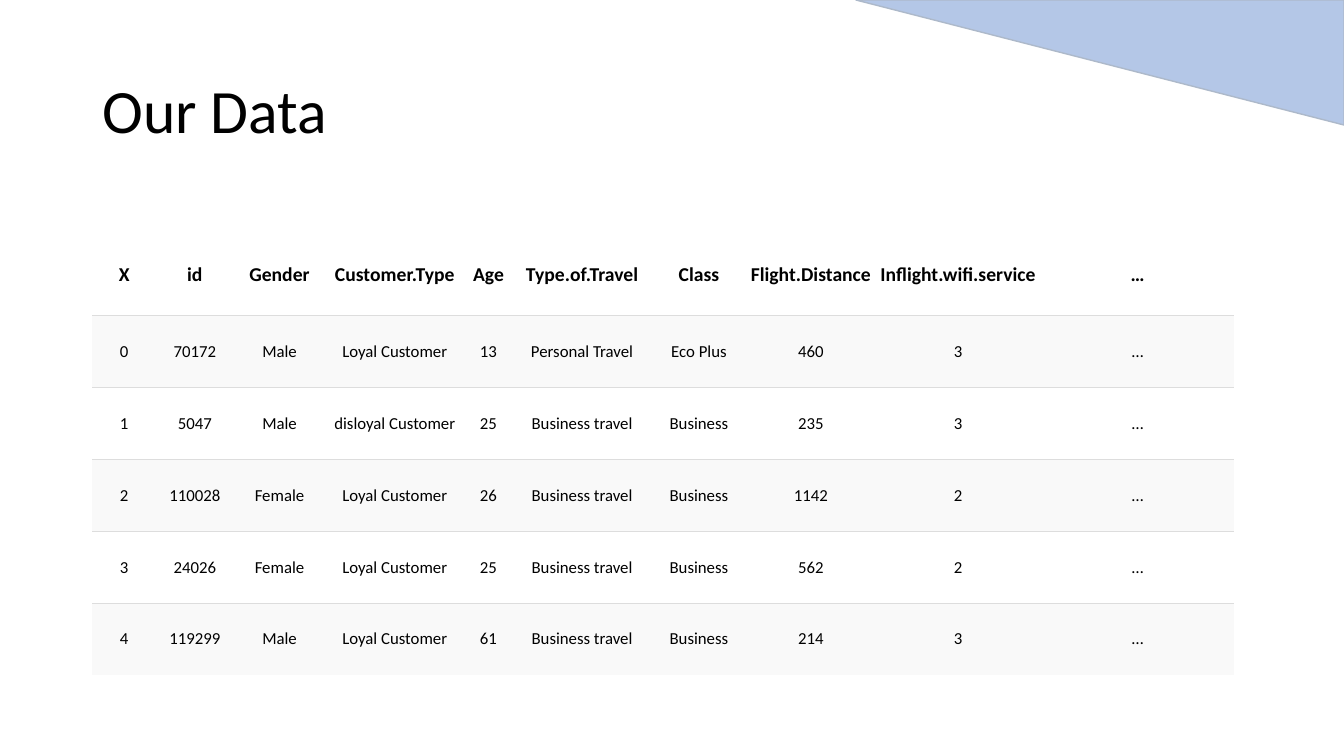
from dataclasses import dataclass

from lxml import etree
from pptx import Presentation
from pptx import util as u
from pptx.dml.color import RGBColor
from pptx.enum import shapes, text
from pptx.oxml import ns


@dataclass(frozen=True)
class Theme:
    font: str = "Calibri"
    ink: str = "000000"
    plain: str = "FFFFFF"
    band: str = "F9F9F9"
    rule: str = "DDDDDD"
    corner: str = "B4C7E7"
    corner_edge: str = "ADB9CA"
    title_size: float = 44
    header_size: float = 14
    body_size: float = 12
    rule_width: float = 0.75


@dataclass(frozen=True)
class Column:
    header: str
    width: float
    values: tuple[str, ...]


THEME = Theme()
LEFT = 2.33
HEADER_HEIGHT, ROW_HEIGHT = 2.07, 1.81
CELL_MARGIN = 0.05
COLUMNS = (
    Column("X", 1.6, ("0", "1", "2", "3", "4")),
    Column("id", 1.96, ("70172", "5047", "110028", "24026", "119299")),
    Column("Gender", 2.31, ("Male", "Male", "Female", "Female", "Male")),
    Column("Customer.Type", 3.5, ("Loyal Customer", "disloyal Customer") + ("Loyal Customer",) * 3),
    Column("Age", 1.22, ("13", "25", "26", "25", "61")),
    Column("Type.of.Travel", 3.5, ("Personal Travel",) + ("Business travel",) * 4),
    Column("Class", 2.39, ("Eco Plus",) + ("Business",) * 4),
    Column("Flight.Distance", 3.25, ("460", "235", "1142", "562", "214")),
    Column("Inflight.wifi.service", 4.17, ("3", "3", "2", "2", "3")),
    Column("…", 4.88, ("…",) * 5),
)


def write_text(frame, content: str, *, size: float, bold: bool = False,
               align=text.PP_ALIGN.LEFT, line_spacing: float = 1.0) -> None:
    paragraph = frame.paragraphs[0]
    paragraph.alignment = align
    paragraph.line_spacing = line_spacing
    run = paragraph.add_run()
    run.text = content
    run.font.name = THEME.font
    run.font.size = u.Pt(size)
    run.font.bold = bold
    run.font.color.rgb = RGBColor.from_string(THEME.ink)


def set_borders(cell, *, top: bool, bottom: bool) -> None:
    """Rule the chosen horizontal edges and clear the others; call before filling."""
    properties = cell._tc.get_or_add_tcPr()
    edges = {"a:lnL": False, "a:lnR": False, "a:lnT": top, "a:lnB": bottom}
    for tag, ruled in edges.items():
        line = etree.SubElement(properties, ns.qn(tag), w=str(u.Pt(THEME.rule_width)))
        if ruled:
            fill = etree.SubElement(line, ns.qn("a:solidFill"))
            etree.SubElement(fill, ns.qn("a:srgbClr"), val=THEME.rule)
        else:
            etree.SubElement(line, ns.qn("a:noFill"))


def add_title(slide, content: str) -> None:
    title = slide.shapes.add_textbox(u.Cm(LEFT), u.Cm(1.01), u.Cm(29.21), u.Cm(3.68))
    frame = title.text_frame
    frame.word_wrap = True
    frame.vertical_anchor = text.MSO_ANCHOR.MIDDLE
    write_text(frame, content, size=THEME.title_size, line_spacing=0.9)


def add_data_table(slide, columns: tuple[Column, ...]) -> None:
    row_count = len(columns[0].values) + 1
    width = sum(column.width for column in columns)
    height = HEADER_HEIGHT + ROW_HEIGHT * (row_count - 1)
    table = slide.shapes.add_table(row_count, len(columns), u.Cm(LEFT), u.Cm(5.89),
                                   u.Cm(width), u.Cm(height)).table
    table.first_row = table.horz_banding = False
    for index, row in enumerate(table.rows):
        row.height = u.Cm(ROW_HEIGHT if index else HEADER_HEIGHT)
    for column_index, column in enumerate(columns):
        table.columns[column_index].width = u.Cm(column.width)
        for row_index, content in enumerate((column.header, *column.values)):
            cell = table.cell(row_index, column_index)
            is_header = row_index == 0
            set_borders(cell, top=not is_header, bottom=row_index < row_count - 1)
            cell.fill.solid()
            cell.fill.fore_color.rgb = RGBColor.from_string(
                THEME.band if row_index % 2 else THEME.plain)
            cell.vertical_anchor = text.MSO_ANCHOR.MIDDLE
            cell.margin_left = cell.margin_right = u.Cm(CELL_MARGIN)
            cell.margin_top = cell.margin_bottom = u.Cm(CELL_MARGIN)
            write_text(cell.text_frame, content, bold=is_header,
                       size=THEME.header_size if is_header else THEME.body_size,
                       align=text.PP_ALIGN.CENTER)


def add_corner(slide, slide_width: int) -> None:
    width = u.Cm(12.3)
    corner = slide.shapes.add_shape(shapes.MSO_SHAPE.ISOSCELES_TRIANGLE,
                                    slide_width - width, 0, width, u.Cm(3.15))
    corner.adjustments[0] = 0
    corner.rotation = 180
    corner.shadow.inherit = False
    corner.fill.solid()
    corner.fill.fore_color.rgb = RGBColor.from_string(THEME.corner)
    corner.line.color.rgb = RGBColor.from_string(THEME.corner_edge)
    corner.line.width = u.Pt(1)


def main() -> None:
    presentation = Presentation()
    presentation.slide_width = u.Cm(33.87)
    presentation.slide_height = u.Cm(19.05)
    slide = presentation.slides.add_slide(presentation.slide_layouts[6])
    add_title(slide, "Our Data")
    add_data_table(slide, COLUMNS)
    add_corner(slide, presentation.slide_width)
    presentation.save("out.pptx")


if __name__ == "__main__":
    main()
